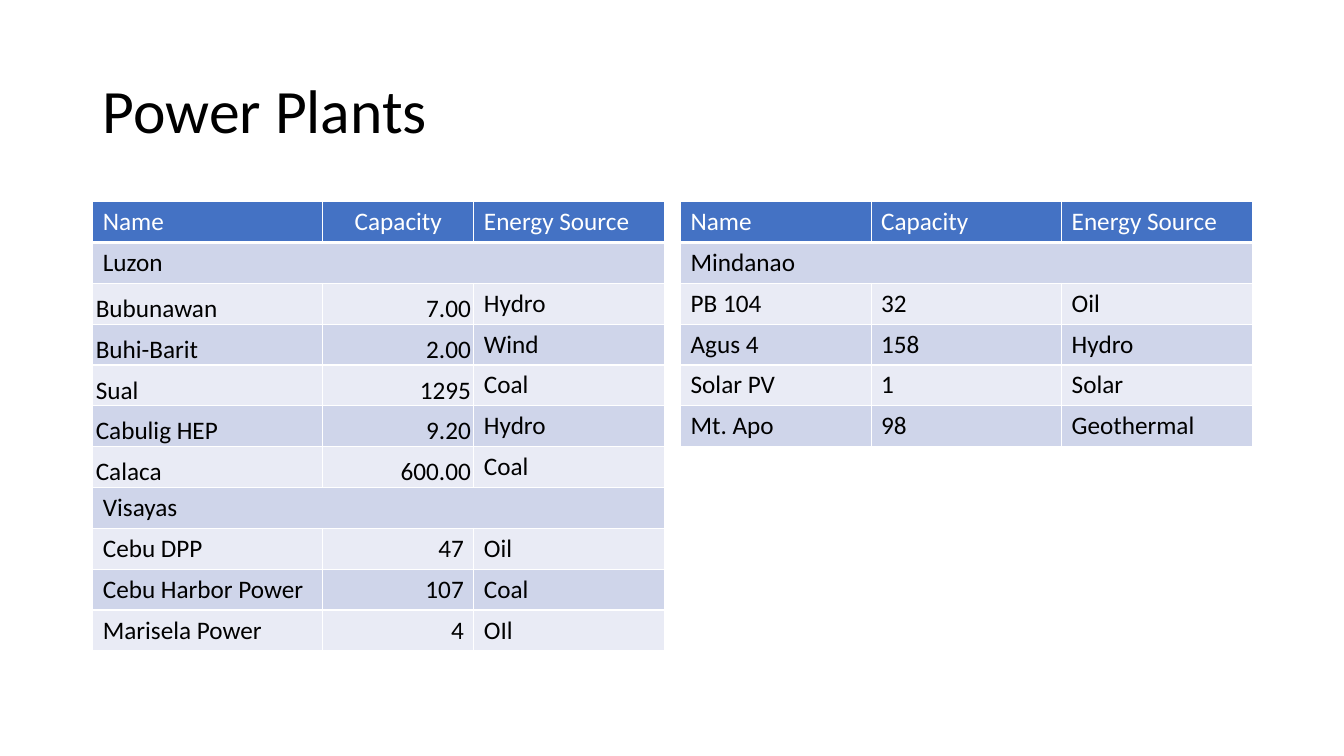
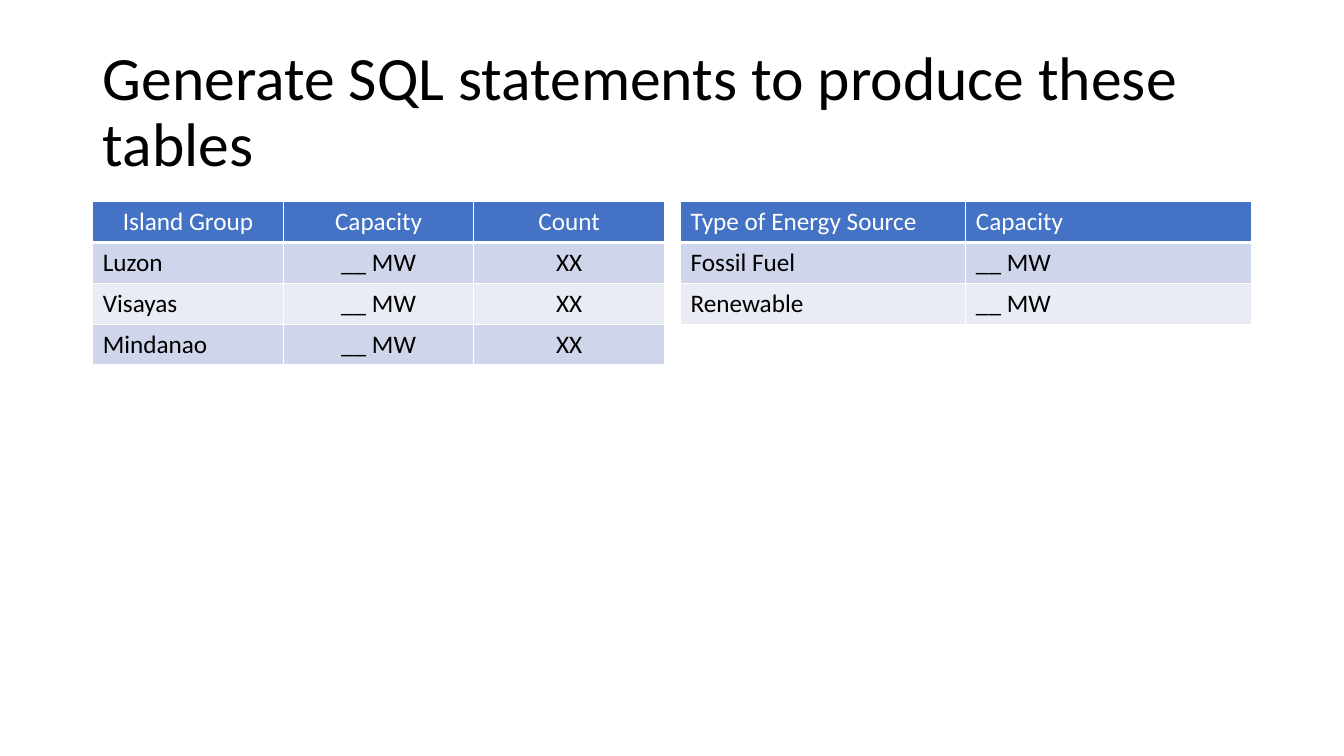
from lxml import etree
from pptx import Presentation
from pptx.dml.color import RGBColor
from pptx.enum.text import MSO_ANCHOR, PP_ALIGN
from pptx.oxml.ns import qn
from pptx.util import Inches, Pt

MIDDLE, BOTTOM = MSO_ANCHOR.MIDDLE, MSO_ANCHOR.BOTTOM
ALIGN = {"l": PP_ALIGN.LEFT, "c": PP_ALIGN.CENTER, "r": PP_ALIGN.RIGHT}
COLORS = {"head": "4472C4", "dark": "CFD5EA", "light": "E9EBF5",
          "white": "FFFFFF", "black": "000000"}
FONT = "Calibri"
LEFT, RIGHT, TOP = 0.92, 6.75, 2
ROW = Inches(4.46) // 11

SLIDES = [
    ("Power Plants", [
        {"left": LEFT, "cols": [2.28, 1.5, 1.89], "head": "lcl", "body": "lrl",
         "tight": range(2, 7), "rows": [
             ["Name", "Capacity", "Energy Source"],
             ["Luzon"],
             ["Bubunawan", "7.00", "Hydro"],
             ["Buhi-Barit", "2.00", "Wind"],
             ["Sual", "1295", "Coal"],
             ["Cabulig HEP", "9.20", "Hydro"],
             ["Calaca", "600.00", "Coal"],
             ["Visayas"],
             ["Cebu DPP", "47", "Oil"],
             ["Cebu Harbor Power", "107", "Coal"],
             ["Marisela Power", "4", "OIl"]]},
        {"left": RIGHT, "cols": [1.89] * 3, "head": "lll", "body": "lll",
         "tight": (), "rows": [
             ["Name", "Capacity", "Energy Source"],
             ["Mindanao"],
             ["PB 104", "32", "Oil"],
             ["Agus 4", "158", "Hydro"],
             ["Solar PV", "1", "Solar"],
             ["Mt. Apo", "98", "Geothermal"]]},
    ]),
    ("Generate SQL statements to produce these tables", [
        {"left": LEFT, "cols": [1.89] * 3, "head": "ccc", "body": "lcc",
         "tight": (), "rows": [
             ["Island Group", "Capacity", "Count"],
             ["Luzon", "__ MW", "XX"],
             ["Visayas", "__ MW", "XX"],
             ["Mindanao", "__ MW", "XX"]]},
        {"left": RIGHT, "cols": [2.83] * 2, "head": "ll", "body": "ll",
         "tight": (), "rows": [
             ["Type of Energy Source", "Capacity"],
             ["Fossil Fuel", "__ MW"],
             ["Renewable", "__ MW"]]},
    ]),
]


def style(para, size, color):
    para.font.name = FONT
    para.font.size = Pt(size)
    para.font.bold = False
    para.font.color.rgb = RGBColor.from_string(COLORS[color])


def border(cell, low):
    props = cell._tc.get_or_add_tcPr()
    for side, width in (("L", 1), ("R", 1), ("T", 1), ("B", low)):
        line = etree.SubElement(props, qn("a:ln" + side), w=str(Pt(width)))
        fill = etree.SubElement(line, qn("a:solidFill"))
        etree.SubElement(fill, qn("a:srgbClr"), val=COLORS["white"])


deck = Presentation()
deck.slide_width, deck.slide_height = Inches(13.33), Inches(7.5)

for title, tables in SLIDES:
    slide = deck.slides.add_slide(deck.slide_layouts[6])
    box = slide.shapes.add_textbox(Inches(LEFT), Inches(0.4), Inches(11.5), Inches(1.45))
    frame = box.text_frame
    frame.word_wrap = True
    frame.vertical_anchor = MIDDLE
    frame.text = title
    para = frame.paragraphs[0]
    para.line_spacing = 0.9
    style(para, 44, "black")

    for data in tables:
        rows, cols = data["rows"], data["cols"]
        table = slide.shapes.add_table(
            len(rows), len(cols), Inches(data["left"]), Inches(TOP),
            Inches(sum(cols)), ROW * len(rows)).table
        for col, width in zip(table.columns, cols):
            col.width = Inches(width)
        for r, texts in enumerate(rows):
            head = r == 0
            shade = "head" if head else "dark" if r % 2 else "light"
            for c in range(len(cols)):
                cell = table.cell(r, c)
                border(cell, 3 if head else 1)
                cell.fill.solid()
                cell.fill.fore_color.rgb = RGBColor.from_string(COLORS[shade])
            if len(texts) == 1:
                table.cell(r, 0).merge(table.cell(r, len(cols) - 1))
            for c, text in enumerate(texts):
                cell = table.cell(r, c)
                cell.text = text
                para = cell.text_frame.paragraphs[0]
                para.alignment = ALIGN[data["head" if head else "body"][c]]
                style(para, 18, "white" if head else "black")
                if r in data["tight"] and c < 2:
                    cell.vertical_anchor = BOTTOM
                    cell.margin_left = cell.margin_right = Inches(0.03)
                    cell.margin_top = cell.margin_bottom = 0

deck.save("out.pptx")
